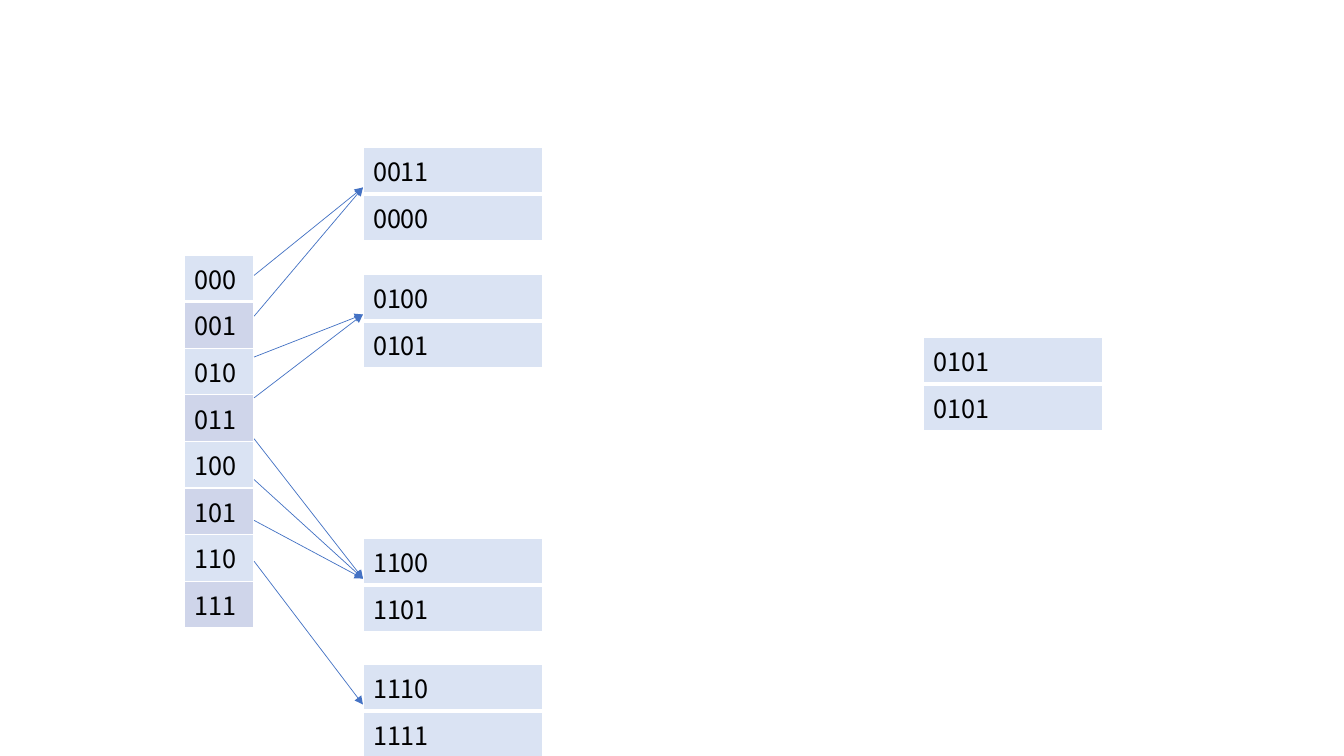
from lxml import etree
from pptx import Presentation
from pptx.dml.color import RGBColor
from pptx.enum import shapes
from pptx.oxml import ns
from pptx.util import Inches, Pt

DIRECTORY = ["000", "001", "010", "011", "100", "101", "110", "111"]
# (left, top, keys, directory rows pointing here)
BUCKETS = [
    (3.6, 1.46, ["0011", "0000"], [0, 1]),
    (3.6, 2.72, ["0100", "0101"], [2, 3]),
    (3.6, 5.34, ["1100", "1101"], [4, 5, 6]),
    (3.6, 6.59, ["1110", "1111"], [7]),
    (9.16, 3.35, ["0101", "0101"], []),
]

FONT = "Noto Sans CJK SC"
BLACK = RGBColor(0x00, 0x00, 0x00)
WHITE = RGBColor(0xFF, 0xFF, 0xFF)
PALE = RGBColor(0xDA, 0xE3, 0xF3)
BAND = RGBColor(0xCF, 0xD5, 0xEA)
BLUE = RGBColor(0x44, 0x72, 0xC4)

DIR_LEFT, DIR_TOP, DIR_W, DIR_H = 1.83, 2.53, 0.69, 3.24
BUCKET_W, BUCKET_H, BUCKET_ROW = 1.78, 0.8, 0.35


def set_borders(cell, widths):
    """Give the cell white borders; widths are points by side letter."""
    tc_pr = cell._tc.get_or_add_tcPr()
    for side, width in widths.items():
        ln = etree.SubElement(tc_pr, ns.qn(f"a:ln{side}"), w=str(Pt(width)))
        fill = etree.SubElement(ln, ns.qn("a:solidFill"))
        etree.SubElement(fill, ns.qn("a:srgbClr"), val=str(WHITE))


def add_column(s, box, row_h, values, fills):
    """Add a one-column table with a thick rule under its first row."""
    tbl = s.shapes.add_table(len(values), 1, *map(Inches, box)).table
    for i, value in enumerate(values):
        tbl.rows[i].height = Inches(row_h)
        cell = tbl.cell(i, 0)
        set_borders(cell, {"L": 1, "R": 1, "T": 3 if i == 1 else 1, "B": 3 if i == 0 else 1})
        cell.fill.solid()
        cell.fill.fore_color.rgb = fills[i % len(fills)]
        cell.text_frame.text = value
        font = cell.text_frame.paragraphs[0].runs[0].font
        font.name, font.size, font.bold = FONT, Pt(18), False
        font.color.rgb = BLACK


def add_arrow(s, start, end):
    c = s.shapes.add_connector(shapes.MSO_CONNECTOR.STRAIGHT, *map(Inches, start + end))
    c.line.color.rgb = BLUE
    c.line.width = Pt(0.5)
    etree.SubElement(c.line._get_or_add_ln(), ns.qn("a:tailEnd"), type="triangle")
    etree.SubElement(c._element.spPr, ns.qn("a:effectLst"))


prs = Presentation()
prs.slide_width, prs.slide_height = Inches(13.33), Inches(7.5)
s = prs.slides.add_slide(prs.slide_layouts[6])

dir_row = DIR_H / len(DIRECTORY)
add_column(s, (DIR_LEFT, DIR_TOP, DIR_W, DIR_H), dir_row, DIRECTORY, [PALE, BAND])

for left, top, keys, pointers in BUCKETS:
    add_column(s, (left, top, BUCKET_W, BUCKET_H), BUCKET_ROW, keys, [PALE])
    for row in pointers:
        start = (DIR_LEFT + DIR_W, DIR_TOP + (row + 0.5) * dir_row)
        add_arrow(s, start, (left, top + BUCKET_H / 2))

prs.save("out.pptx")
